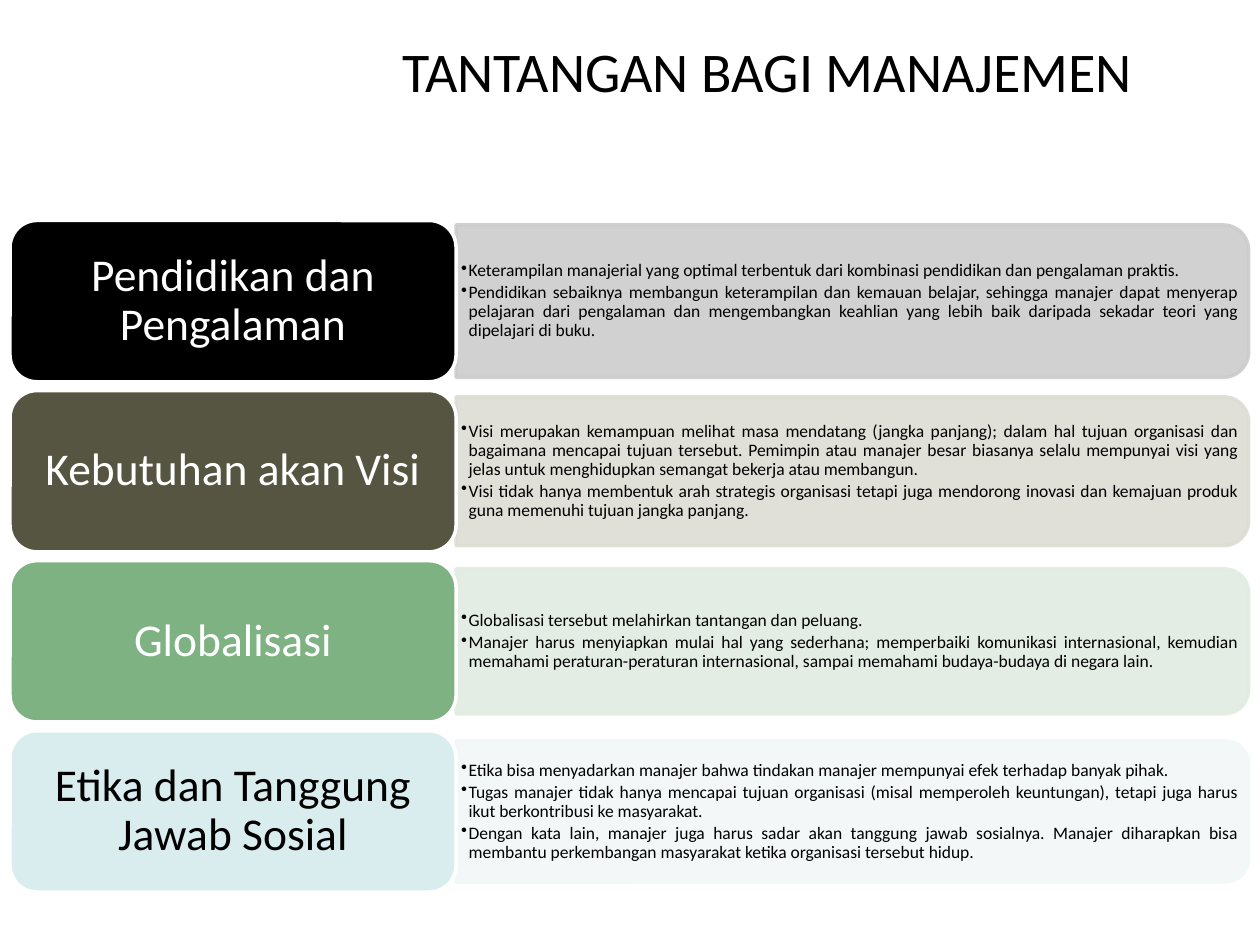
from lxml.etree import SubElement
from pptx import Presentation
from pptx.dml.color import RGBColor
from pptx.enum.shapes import MSO_SHAPE
from pptx.enum.text import MSO_ANCHOR, PP_ALIGN
from pptx.oxml.ns import qn
from pptx.util import Inches, Pt

# Content: label, bullet points, label fill, label text colour, panel colour
TITLE = "TANTANGAN BAGI MANAJEMEN"
ROWS = [
    ("Pendidikan dan Pengalaman", [
        "Keterampilan manajerial yang optimal terbentuk dari kombinasi pendidikan dan pengalaman praktis.",
        "Pendidikan sebaiknya membangun keterampilan dan kemauan belajar, sehingga manajer dapat menyerap "
        "pelajaran dari pengalaman dan mengembangkan keahlian yang lebih baik daripada sekadar teori yang "
        "dipelajari di buku.",
    ], "000000", "FFFFFF", "CCCCCC"),
    ("Kebutuhan akan Visi", [
        "Visi merupakan kemampuan melihat masa mendatang (jangka panjang); dalam hal tujuan organisasi dan "
        "bagaimana mencapai tujuan tersebut. Pemimpin atau manajer besar biasanya selalu mempunyai visi yang "
        "jelas untuk menghidupkan semangat bekerja atau membangun.",
        "Visi tidak hanya membentuk arah strategis organisasi tetapi juga mendorong inovasi dan kemajuan produk "
        "guna memenuhi tujuan jangka panjang.",
    ], "565541", "FFFFFF", "DDDDD4"),
    ("Globalisasi", [
        "Globalisasi tersebut melahirkan tantangan dan peluang.",
        "Manajer harus menyiapkan mulai hal yang sederhana; memperbaiki komunikasi internasional, kemudian "
        "memahami peraturan-peraturan internasional, sampai memahami budaya-budaya di negara lain.",
    ], "7FB282", "FFFFFF", "E1ECE2"),
    ("Etika dan Tanggung Jawab Sosial", [
        "Etika bisa menyadarkan manajer bahwa tindakan manajer mempunyai efek terhadap banyak pihak.",
        "Tugas manajer tidak hanya mencapai tujuan organisasi (misal memperoleh keuntungan), tetapi juga harus "
        "ikut berkontribusi ke masyarakat.",
        "Dengan kata lain, manajer juga harus sadar akan tanggung jawab sosialnya. Manajer diharapkan bisa "
        "membantu perkembangan masyarakat ketika organisasi tersebut hidup.",
    ], "DAEDEE", "000000", "F2F7F7"),
]
THEME = {"font": "Calibri", "text": "000000", "outline": "FFFFFF",
         "title": 32, "label": 26, "body": 10, "line": 2, "panel_alpha": 90}

# Layout in inches
LEFT, TOP, LABEL_W, LABEL_H, STEP = 0.08, 1.75, 3.54, 1.28, 1.35
PANEL_X, PANEL_W, PANEL_H, PANEL_SHRINK = LEFT + LABEL_W, 6.29, 1.21, 0.03


def set_frame(sp, inset_x, inset_y):
    tf = sp.text_frame
    tf.word_wrap = True
    tf.vertical_anchor = MSO_ANCHOR.MIDDLE
    tf.margin_left = tf.margin_right = Inches(inset_x)
    tf.margin_top = tf.margin_bottom = Inches(inset_y)
    return tf


def write(p, text, size, color, align):
    p.text = text
    p.alignment = align
    for r in p.runs:
        r.font.name = THEME["font"]
        r.font.size = Pt(size)
        r.font.color.rgb = RGBColor.from_string(color)


def add_bullet(p, indent):
    pPr = p._p.get_or_add_pPr()
    pPr.set("marL", str(Inches(indent)))
    pPr.set("indent", str(-Inches(indent)))
    SubElement(pPr, qn("a:buChar")).set("char", "•")


def add_block(s, kind, x, y, w, h, fill, line):
    sp = s.shapes.add_shape(kind, Inches(x), Inches(y), Inches(w), Inches(h))
    sp.shadow.inherit = False
    sp.fill.solid()
    sp.fill.fore_color.rgb = RGBColor.from_string(fill)
    sp.line.color.rgb = RGBColor.from_string(line)
    sp.line.width = Pt(THEME["line"])
    return sp


def add_panel(s, center_y, height, color):
    # Turned a quarter so the two round corners face right
    sp = add_block(s, MSO_SHAPE.ROUND_2_SAME_RECTANGLE,
                   PANEL_X + (PANEL_W - height) / 2, center_y - PANEL_W / 2,
                   height, PANEL_W, color, color)
    sp.rotation = 90
    for clr in sp._element.spPr.iter(qn("a:srgbClr")):
        SubElement(clr, qn("a:alpha")).set("val", str(THEME["panel_alpha"] * 1000))


def add_points(s, center_y, height, points):
    box = s.shapes.add_textbox(Inches(PANEL_X), Inches(center_y - height / 2),
                               Inches(PANEL_W - 0.05), Inches(height))
    tf = set_frame(box, 0.04, 0.02)
    for i, point in enumerate(points):
        p = tf.add_paragraph() if i else tf.paragraphs[0]
        add_bullet(p, 0.06)
        write(p, point, THEME["body"], THEME["text"], PP_ALIGN.JUSTIFY)
        p.level = 1
        p.line_spacing = 0.9
        p.space_after = Pt(1.8)


def add_label(s, y, text, fill, color):
    sp = add_block(s, MSO_SHAPE.ROUNDED_RECTANGLE, LEFT, y, LABEL_W, LABEL_H,
                   fill, THEME["outline"])
    p = set_frame(sp, 0.11, 0.05).paragraphs[0]
    write(p, text, THEME["label"], color, PP_ALIGN.CENTER)
    p.line_spacing = 0.9


def main():
    prs = Presentation()
    prs.slide_width, prs.slide_height = Inches(10), Inches(7.5)
    s = prs.slides.add_slide(prs.slide_layouts[6])

    # Title
    box = s.shapes.add_textbox(Inches(0.98), Inches(0.2), Inches(8.05), Inches(0.72))
    write(set_frame(box, 0.04, 0.04).paragraphs[0], TITLE, THEME["title"],
          THEME["text"], PP_ALIGN.RIGHT)

    # Rows: panel, its points, then the label on top
    for i, (label, points, fill, color, panel) in enumerate(ROWS):
        y = TOP + i * STEP
        center_y = y + LABEL_H / 2
        height = PANEL_H - i * PANEL_SHRINK
        add_panel(s, center_y, height, panel)
        add_points(s, center_y, height - 0.11, points)
        add_label(s, y, label, fill, color)

    prs.save("out.pptx")


if __name__ == "__main__":
    main()
